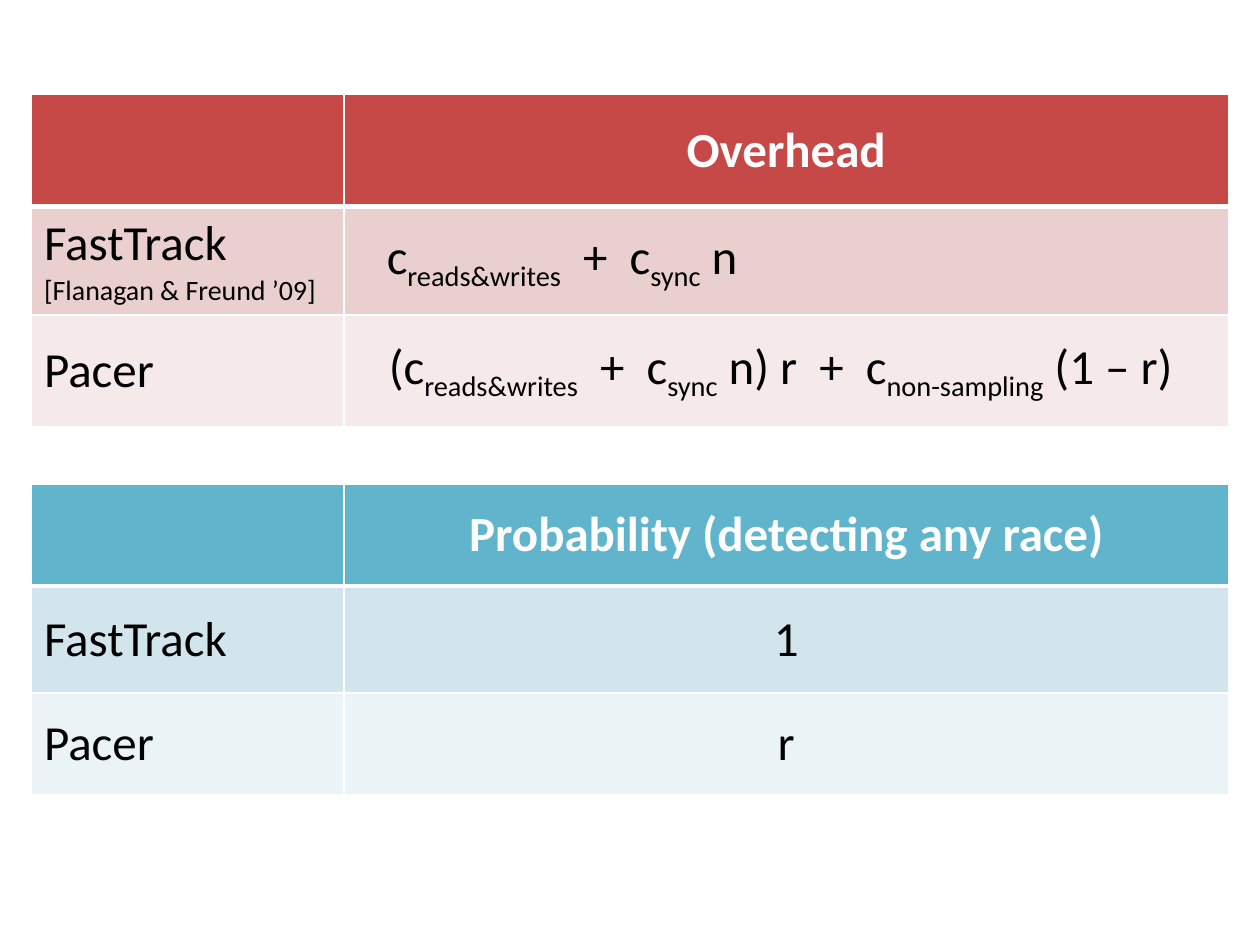
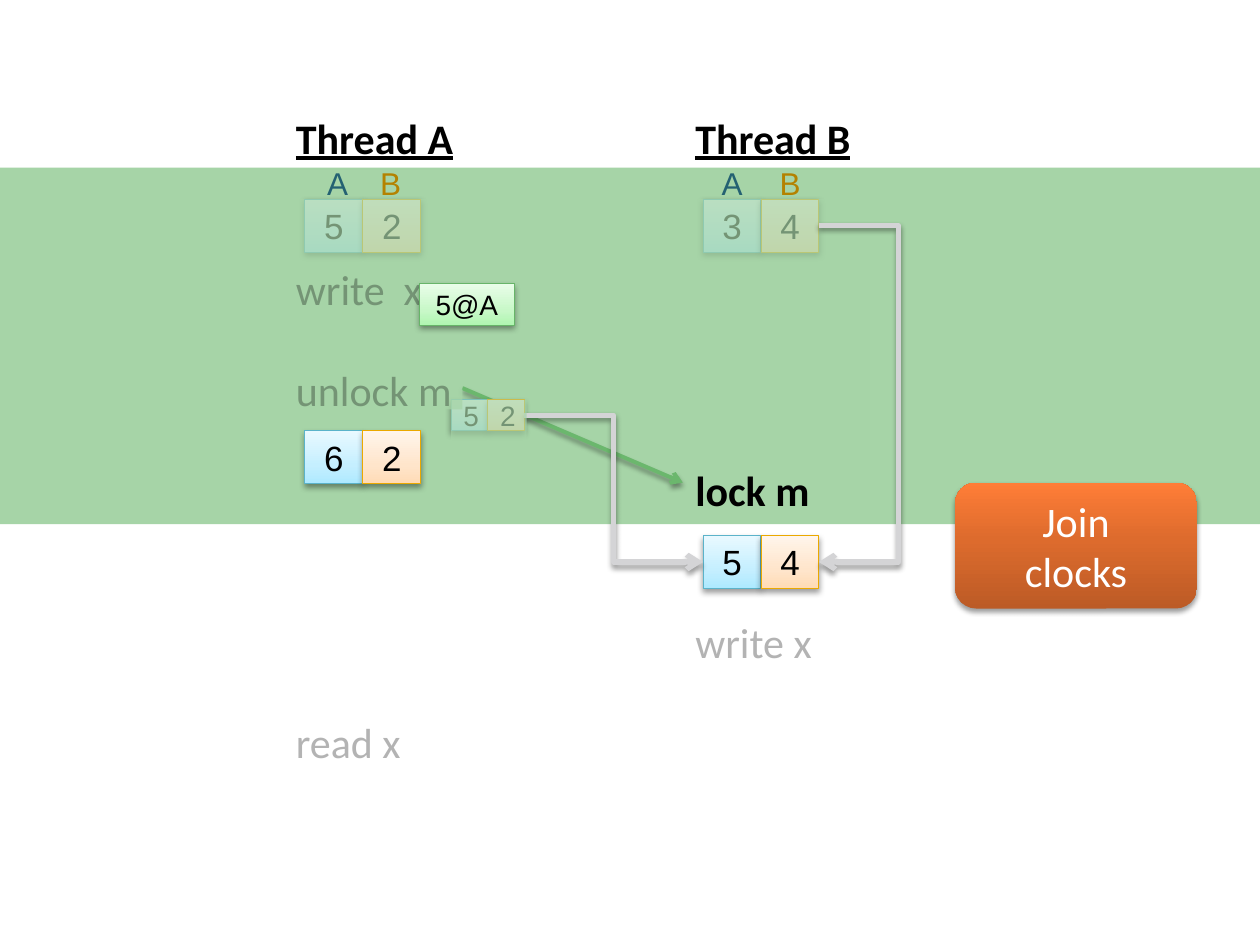
from pptx import Presentation
from pptx import util as u
from pptx.dml.color import RGBColor
from pptx.enum import shapes, text
from pptx.oxml import parse_xml
from pptx.oxml.ns import nsdecls

COLORS = {
    "white": "FFFFFF", "black": "000000",
    "red": "C64847", "red_mid": "EACFCF", "red_light": "F5E9E9",
    "teal": "60B5CC", "teal_mid": "D2E5EC", "teal_light": "EAF3F6",
    "band": "A6D4A7", "sync_arrow": "6BB76D", "join_arrow": "D4D4D6",
    "label_a": "246172", "label_b": "B48200",
    "line_a": "5BB3CA", "line_b": "EBA900", "line_epoch": "67B569",
}
GRADIENTS = {
    "a": [(0, "ADE9FF"), (35, "C5EFFF"), (100, "E9F9FF")],
    "b": [(0, "FFDBB5"), (35, "FFE5CB"), (100, "FFF5EB")],
    "epoch": [(0, "B0F6B1"), (35, "C8F8C8"), (100, "E9FDE9")],
    "callout": [(0, "BC5B26"), (55, "DD6B2D"), (100, "FF7D37")],
}
BODY_FONT, CLOCK_FONT = "Calibri", "Arial"
TABLE_SIZE = 28
BLANK_LINE = 28.8
CELL_WIDTH, CELL_HEIGHT = 0.46, 0.42
LEFT, RIGHT = 1, 3


def rgb(name):
    return RGBColor.from_string(COLORS[name])


def element(xml):
    """Parse one element of the drawing namespace, given without its prefix declaration."""
    tag, rest = xml[1:].split(" ", 1)
    return parse_xml(f"<{tag} {nsdecls('a')} {rest}")


def set_values(target, values):
    for name, value in values.items():
        setattr(target, name, value)


def add_run(paragraph, words, size, color="black", font=BODY_FONT, **styles):
    run = paragraph.add_run()
    run.text = words
    set_values(run.font, {"name": font, "size": u.Pt(size), **styles})
    run.font.color.rgb = rgb(color)
    return run


def add_formula(paragraph, formula):
    """Write a formula whose subscripts stand between underscores."""
    for index, part in enumerate(formula.split("_")):
        run = add_run(paragraph, part, TABLE_SIZE)
        if index % 2:
            run.font._element.set("baseline", "-25000")


def set_borders(cell, bottom=1, top=1):
    widths = {"L": 1, "R": 1, "T": top, "B": bottom}
    properties = cell._tc.get_or_add_tcPr()
    for index, (side, points) in enumerate(widths.items()):
        properties.insert(index, element(
            f'<a:ln{side} w="{u.Pt(points)}"><a:solidFill>'
            f'<a:srgbClr val="{COLORS["white"]}"/></a:solidFill></a:ln{side}>'))


def add_result_table(slide, top, row_heights, hue, title, entries):
    """Add a two-column table; entries are (name, citation, formula, left margin or None)."""
    frame = slide.shapes.add_table(3, 2, u.Inches(0.25), u.Inches(top),
                                   u.Inches(9.5), u.Inches(sum(row_heights)))
    table = frame.table
    for column, width in zip(table.columns, (2.48, 7.02)):
        column.width = u.Inches(width)
    fills = (hue, f"{hue}_mid", f"{hue}_light")
    for index, (row, height, fill) in enumerate(zip(table.rows, row_heights, fills)):
        row.height = u.Inches(height)
        for cell in row.cells:
            cell.vertical_anchor = text.MSO_ANCHOR.MIDDLE
            cell.fill.solid()
            cell.fill.fore_color.rgb = rgb(fill)
            set_borders(cell, bottom=3 if index == 0 else 1, top=3 if index == 1 else 1)

    heading = table.cell(0, 1).text_frame.paragraphs[0]
    heading.alignment = text.PP_ALIGN.CENTER
    add_run(heading, title, TABLE_SIZE, "white", bold=True)
    for index, (name, citation, formula, margin) in enumerate(entries, 1):
        name_frame = table.cell(index, 0).text_frame
        add_run(name_frame.paragraphs[0], name, TABLE_SIZE)
        if citation:
            add_run(name_frame.add_paragraph(), citation, 16)
        formula_cell = table.cell(index, 1)
        paragraph = formula_cell.text_frame.paragraphs[0]
        if margin:
            formula_cell.margin_left = u.Inches(margin)
        else:
            paragraph.alignment = text.PP_ALIGN.CENTER
        add_formula(paragraph, formula)


def shadow_xml(blur):
    return (f'<a:outerShdw blurRad="{u.Pt(blur)}" dist="{u.Pt(2)}" dir="5400000" '
            f'rotWithShape="0"><a:srgbClr val="{COLORS["black"]}">'
            '<a:alpha val="38000"/></a:srgbClr></a:outerShdw>')


def add_plain_shape(slide, box, kind=shapes.MSO_SHAPE.RECTANGLE):
    shape = slide.shapes.add_shape(kind, *map(u.Inches, box))
    shape.shadow.inherit = False
    shape.line.fill.background()
    return shape


def add_veil(slide, box, color="band", opacity=70):
    """Add a flat rectangle that fades what lies behind it."""
    veil = add_plain_shape(slide, box)
    veil.fill.solid()
    veil.fill.fore_color.rgb = rgb(color)
    if opacity < 100:
        veil._element.spPr.xpath("./a:solidFill/a:srgbClr")[0].append(
            element(f'<a:alpha val="{opacity * 1000}"/>'))


def add_gradient_box(slide, box, gradient, lines, size, line=None, color="black",
                     font=CLOCK_FONT, kind=shapes.MSO_SHAPE.RECTANGLE):
    shape = add_plain_shape(slide, box, kind)
    shape.fill.gradient()
    shape.fill.gradient_angle = 90
    stops = shape._element.spPr.xpath(".//a:gsLst")[0]
    stops.clear()
    for position, value in GRADIENTS[gradient]:
        stops.append(element(f'<a:gs pos="{position * 1000}"><a:srgbClr val="{value}"/></a:gs>'))
    if line:
        shape.line.color.rgb = rgb(line)
        shape.line.width = u.Pt(0.5)
    shape._element.spPr.xpath("./a:effectLst")[0].append(
        element(shadow_xml(3.5 if line else 3.1)))
    frame = shape.text_frame
    frame.vertical_anchor = text.MSO_ANCHOR.MIDDLE
    for index, words in enumerate(lines):
        paragraph = frame.add_paragraph() if index else frame.paragraphs[0]
        paragraph.alignment = text.PP_ALIGN.CENTER
        add_run(paragraph, words, size, color, font)
    return shape


def add_clock(slide, left, top, values, width=CELL_WIDTH, height=CELL_HEIGHT, size=20):
    """Add a vector clock and return its cells for threads A and B."""
    return [add_gradient_box(slide, (left + index * width, top, width, height),
                             thread, [value], size, f"line_{thread}")
            for index, (thread, value) in enumerate(zip("ab", values))]


def style_arrow(arrow, color, width):
    arrow.line.color.rgb = rgb(color)
    arrow.line.width = u.Pt(width)
    arrow.line._get_or_add_ln().append(element('<a:tailEnd type="arrow"/>'))
    effects = element("<a:effectLst />")
    effects.append(element(shadow_xml(3.1)))
    arrow._element.spPr.append(effects)


def add_join_arrow(slide, source, target):
    """Lead an elbow from the right side of one clock cell to the left side of another."""
    arrow = slide.shapes.add_connector(shapes.MSO_CONNECTOR.ELBOW, 0, 0, 0, 0)
    arrow.begin_connect(source, RIGHT)
    arrow.end_connect(target, LEFT)
    style_arrow(arrow, "join_arrow", 3)


def add_bracket_arrow(slide, source, target, reach):
    """Lead an arrow out of one cell's right side and back into that of a cell below."""
    (start_x, start_y), (end_x, end_y) = [
        (cell.left + cell.width, cell.top + cell.height // 2) for cell in (source, target)]
    bend = start_x + u.Inches(reach)
    outline = slide.shapes.build_freeform(start_x, start_y)
    outline.add_line_segments([(bend, start_y), (bend, end_y), (end_x, end_y)], close=False)
    arrow = outline.convert_to_shape()
    arrow.fill.background()
    style_arrow(arrow, "join_arrow", 3)


def add_thread(slide, left, height, title, steps):
    """Add a thread's column; steps are (blank lines before, words, bold)."""
    box = slide.shapes.add_textbox(*map(u.Inches, (left, 0.84, 1.58, height)))
    frame = box.text_frame
    frame.word_wrap = True
    add_run(frame.paragraphs[0], title, 24, bold=True, underline=True)
    for blanks, words, bold in steps:
        paragraph = frame.add_paragraph()
        paragraph.space_before = u.Pt(blanks * BLANK_LINE)
        add_run(paragraph, words, 24, bold=bold)


def add_clock_labels(slide, left, pitch):
    for index, thread in enumerate("ab"):
        box = slide.shapes.add_textbox(*map(u.Inches, (left + index * pitch, 1.25, 0.38, 0.4)))
        box.text_frame.word_wrap = False
        paragraph = box.text_frame.paragraphs[0]
        paragraph.alignment = text.PP_ALIGN.CENTER
        add_run(paragraph, thread.upper(), 18, f"label_{thread}", CLOCK_FONT)


def build_results(slide):
    add_result_table(slide, 0.75, (0.89, 0.86, 0.89), "red", "Overhead", [
        ("FastTrack", "[Flanagan & Freund ’09]", "c_reads&writes_  +  c_sync_ n", 0.34),
        ("Pacer", None, "(c_reads&writes_  +  c_sync_ n) r  +  c_non-sampling_ (1 – r) ", None),
    ])
    add_result_table(slide, 3.84, (0.81, 0.85, 0.81), "teal", "Probability (detecting any race)", [
        ("FastTrack", None, "1", None),
        ("Pacer", None, "r", None),
    ])


def build_threads(slide):
    add_veil(slide, (0, 1.33, 10, 2.83), opacity=100)
    sync_arrow = slide.shapes.add_connector(
        shapes.MSO_CONNECTOR.STRAIGHT, *map(u.Inches, (3.67, 3.08, 5.42, 3.83)))
    style_arrow(sync_arrow, "sync_arrow", 2.25)

    add_thread(slide, 2.25, 5.35, "Thread A",
               [(2, "write  x", False), (1, "unlock m", False), (6, "read x", False)])
    add_thread(slide, 5.42, 4.54, "Thread B", [(6, "lock m", True), (2, "write x", False)])

    add_clock(slide, 2.42, 1.58, "52")
    clock_b = add_clock(slide, 5.58, 1.58, "34")
    add_clock(slide, 2.42, 3.42, "62")
    add_veil(slide, (0, 4.17, 10, 2.33), "white")
    joined_clock = add_clock(slide, 5.58, 4.25, "54")
    add_veil(slide, (0, 1.58, 10, 0.5))
    add_bracket_arrow(slide, clock_b[1], joined_clock[1], reach=0.63)
    lock_clock = add_clock(slide, 3.58, 3.17, "52", width=0.29, height=0.25, size=16)
    add_join_arrow(slide, lock_clock[1], joined_clock[0])

    add_gradient_box(slide, (7.58, 3.83, 1.92, 1), "callout", ["Join", "clocks"], 24,
                     color="white", font=BODY_FONT, kind=shapes.MSO_SHAPE.ROUNDED_RECTANGLE)
    add_veil(slide, (0.33, 2.08, 3.08, 0.5))
    add_gradient_box(slide, (3.33, 2.25, 0.75, 0.33), "epoch", ["5@A"], 16, "line_epoch")
    add_veil(slide, (0.67, 2.83, 3, 0.42))
    add_veil(slide, (3.58, 3.17, 0.6, 0.33))
    for left, pitch in ((2.49, 0.42), (5.62, 0.46)):
        add_clock_labels(slide, left, pitch)


def main():
    presentation = Presentation()
    set_values(presentation, {"slide_width": u.Inches(10), "slide_height": u.Inches(7.5)})
    for build in (build_results, build_threads):
        build(presentation.slides.add_slide(presentation.slide_layouts[6]))
    presentation.save("out.pptx")


if __name__ == "__main__":
    main()
